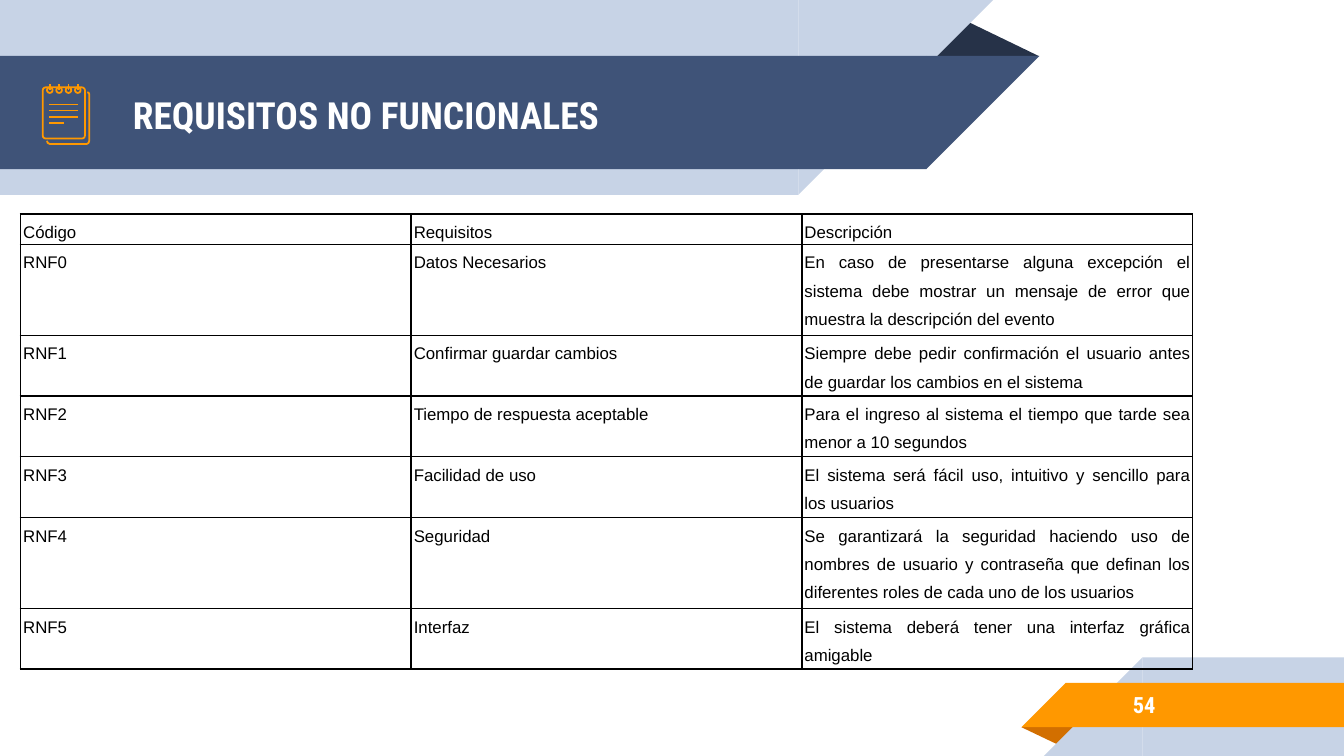
"""Build the slide of non-functional requirements."""
from dataclasses import dataclass
from typing import Any

from lxml.etree import SubElement
from pptx import Presentation
from pptx.dml.color import RGBColor as Rgb
from pptx.enum.shapes import MSO_CONNECTOR as Link, MSO_SHAPE as Kind
from pptx.enum.text import MSO_ANCHOR as Anchor, PP_ALIGN as Align
from pptx.oxml.ns import qn
from pptx.util import Pt

PALE, NAVY, DARK = "C7D3E6", "3F5378", "263248"
AMBER, RUST, WHITE, BLACK = "FF9800", "D26F00", "FFFFFF", "000000"
STROKE = 0.96
PITCH = 15.1
INSET = {"margin_left": Pt(7.2), "margin_right": Pt(7.2),
         "margin_top": Pt(7.2), "margin_bottom": Pt(7.2),
         "vertical_anchor": Anchor.MIDDLE, "word_wrap": True}
CELL = {"margin_left": Pt(1.4), "margin_right": Pt(1.4),
        "margin_top": Pt(0), "margin_bottom": Pt(0)}
PARA = {"alignment": Align.JUSTIFY, "line_spacing": 1.5,
        "space_after": Pt(8)}


@dataclass
class Block:
    kind: Any
    x: float
    y: float
    w: float
    h: float
    fill: str = ""
    turn: float = 0
    adj: float | None = None


@dataclass
class Label:
    text: str
    x: float
    y: float
    w: float
    h: float
    size: float


@dataclass
class Need:
    code: str
    name: str
    text: str
    lines: int


BANDS = [
    Block(Kind.ISOSCELES_TRIANGLE, 495.4, 10.1, 61.2, 20, DARK, adj=0.324),
    Block(Kind.RECTANGLE, 0, 0, 427.7, 104.4, PALE),
    Block(Kind.RIGHT_TRIANGLE, 427.7, 0, 104.4, 104.4, PALE, 90),
    Block(Kind.RECTANGLE, 0, 30, 496.2, 60.6, NAVY),
    Block(Kind.RIGHT_TRIANGLE, 496.2, 30, 60.6, 60.6, NAVY, 90),
    Block(Kind.ISOSCELES_TRIANGLE, 547.2, 389.6, 31, 10, RUST, 180, 0.324),
    Block(Kind.RECTANGLE, 612, 352.2, 108, 52.8, PALE),
    Block(Kind.RIGHT_TRIANGLE, 559.2, 352.2, 52.8, 52.8, PALE, 270),
    Block(Kind.RECTANGLE, 571, 365.8, 149, 23.8, AMBER),
    Block(Kind.RIGHT_TRIANGLE, 547.2, 365.8, 23.8, 23.8, AMBER, 270),
]
LABELS = [
    Label("REQUISITOS NO FUNCIONALES", 64.1, 31, 414, 60.5, 20),
    Label("54", 599.8, 365, 117.4, 25.2, 12),
]
NEEDS = [
    Need("Código", "Requisitos", "Descripción", 1),
    Need("RNF0", "Datos Necesarios",
         "En caso de presentarse alguna excepción el sistema debe mostrar "
         "un mensaje de error que muestra la descripción del evento", 3),
    Need("RNF1", "Confirmar guardar cambios",
         "Siempre debe pedir confirmación el usuario antes de guardar los "
         "cambios en el sistema", 2),
    Need("RNF2", "Tiempo de respuesta aceptable",
         "Para el ingreso al sistema el tiempo que tarde sea menor a 10 "
         "segundos", 2),
    Need("RNF3", "Facilidad de uso",
         "El sistema será fácil uso, intuitivo y sencillo para los "
         "usuarios", 2),
    Need("RNF4", "Seguridad",
         "Se garantizará la seguridad haciendo uso de nombres de usuario y "
         "contraseña que definan los diferentes roles de cada uno de los "
         "usuarios", 3),
    Need("RNF5", "Interfaz",
         "El sistema deberá tener una interfaz gráfica amigable", 2),
]
SHEET = [(25.2, 75.4), (25.5, 76.5), (26.6, 77.1), (46.6, 77.1),
         (47.5, 76.5), (47.8, 75.4), (47.8, 50.4), (47.5, 49.7),
         (46.8, 49.4)]


def hue(code: str) -> Rgb:
    return Rgb.from_string(code)


def style(item: Any, look: dict[str, Any]) -> None:
    for key, value in look.items():
        setattr(item, key, value)


def write(para: Any, text: str, face: str, size: float, code: str,
          bold: bool) -> None:
    run = para.add_run()
    run.text = text
    style(run.font, {"name": face, "size": Pt(size), "bold": bold})
    run.font.color.rgb = hue(code)


def trace(line: Any) -> None:
    line.color.rgb = hue(AMBER)
    line.width = Pt(STROKE)


def draw_block(shapes: Any, block: Block) -> None:
    shape = shapes.add_shape(block.kind, Pt(block.x), Pt(block.y),
                             Pt(block.w), Pt(block.h))
    shape.shadow.inherit = False
    shape.rotation = block.turn
    if block.adj is not None:
        shape.adjustments[0] = block.adj
    if block.fill:
        shape.fill.solid()
        shape.fill.fore_color.rgb = hue(block.fill)
        shape.line.fill.background()
    else:
        shape.fill.background()
        trace(shape.line)


def draw_line(shapes: Any, x: float, y: float, w: float, h: float) -> None:
    line = shapes.add_connector(Link.STRAIGHT, Pt(x), Pt(y),
                                Pt(x + w), Pt(y + h))
    trace(line.line)
    SubElement(line._element.spPr, qn("a:effectLst"))


def draw_pad(shapes: Any) -> None:
    dots = [(Pt(x), Pt(y)) for x, y in SHEET]
    pen = shapes.build_freeform(*dots[0], scale=1.0)
    pen.add_line_segments(dots[1:], close=False)
    sheet = pen.convert_to_shape()
    sheet.shadow.inherit = False
    sheet.fill.background()
    trace(sheet.line)
    draw_block(shapes, Block(Kind.ROUNDED_RECTANGLE, 22.9, 46.8, 22.6, 27.4,
                             adj=0.07))
    for i in range(4):
        x = 25.2 + 5 * i
        draw_block(shapes, Block(Kind.OVAL, x, 46.8, 3, 3))
        draw_line(shapes, x + 1.5, 45.2, 0, 3)
        draw_line(shapes, 26.5, 56 + 3.25 * i, 8 if i == 3 else 15.4, 0)


def draw_label(shapes: Any, label: Label) -> None:
    box = shapes.add_textbox(Pt(label.x), Pt(label.y),
                             Pt(label.w), Pt(label.h))
    style(box.text_frame, INSET)
    write(box.text_frame.paragraphs[0], label.text, "Roboto Condensed",
          label.size, WHITE, True)


def edge(cell: Any) -> None:
    props = cell._tc.get_or_add_tcPr()
    for side in ("lnL", "lnR", "lnT", "lnB"):
        line = SubElement(props, qn(f"a:{side}"), w=str(Pt(1)))
        fill = SubElement(line, qn("a:solidFill"))
        SubElement(fill, qn("a:srgbClr"), val=BLACK)


def draw_table(shapes: Any, needs: list[Need]) -> None:
    high = PITCH * sum(need.lines for need in needs)
    table = shapes.add_table(len(needs), 3, Pt(11), Pt(114.6),
                             Pt(627.9), Pt(high)).table
    style(table, {"first_row": False, "horz_banding": False})
    for col in table.columns:
        col.width = Pt(209.3)
    for row, need in zip(table.rows, needs):
        row.height = Pt(PITCH * need.lines)
        for cell, text in zip(row.cells, (need.code, need.name, need.text)):
            style(cell, CELL)
            edge(cell)
            cell.fill.background()
            para = cell.text_frame.paragraphs[0]
            style(para, PARA)
            write(para, text, "Arial", 9, BLACK, False)


def main() -> None:
    deck = Presentation()
    style(deck, {"slide_width": Pt(720), "slide_height": Pt(405)})
    shapes = deck.slides.add_slide(deck.slide_layouts[6]).shapes
    for block in BANDS:
        draw_block(shapes, block)
    draw_pad(shapes)
    for label in LABELS:
        draw_label(shapes, label)
    draw_table(shapes, NEEDS)
    deck.save("out.pptx")


if __name__ == "__main__":
    main()
